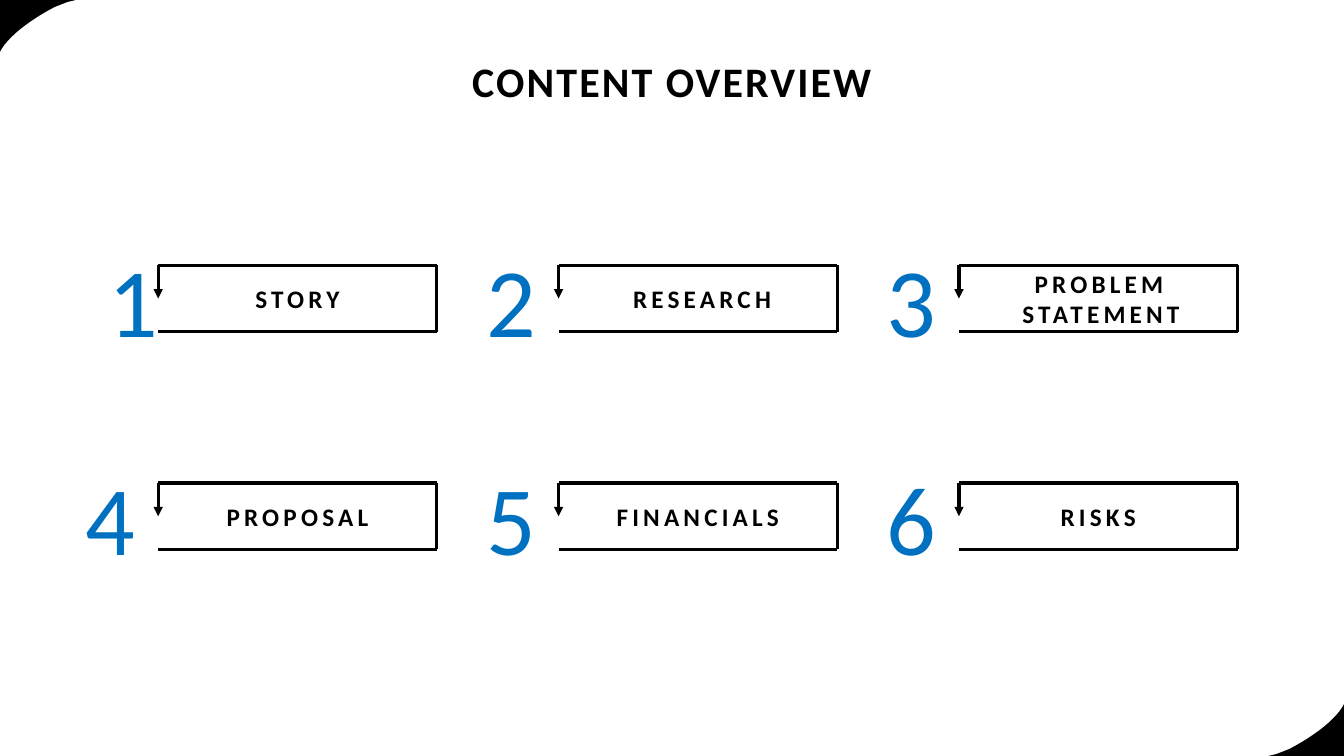
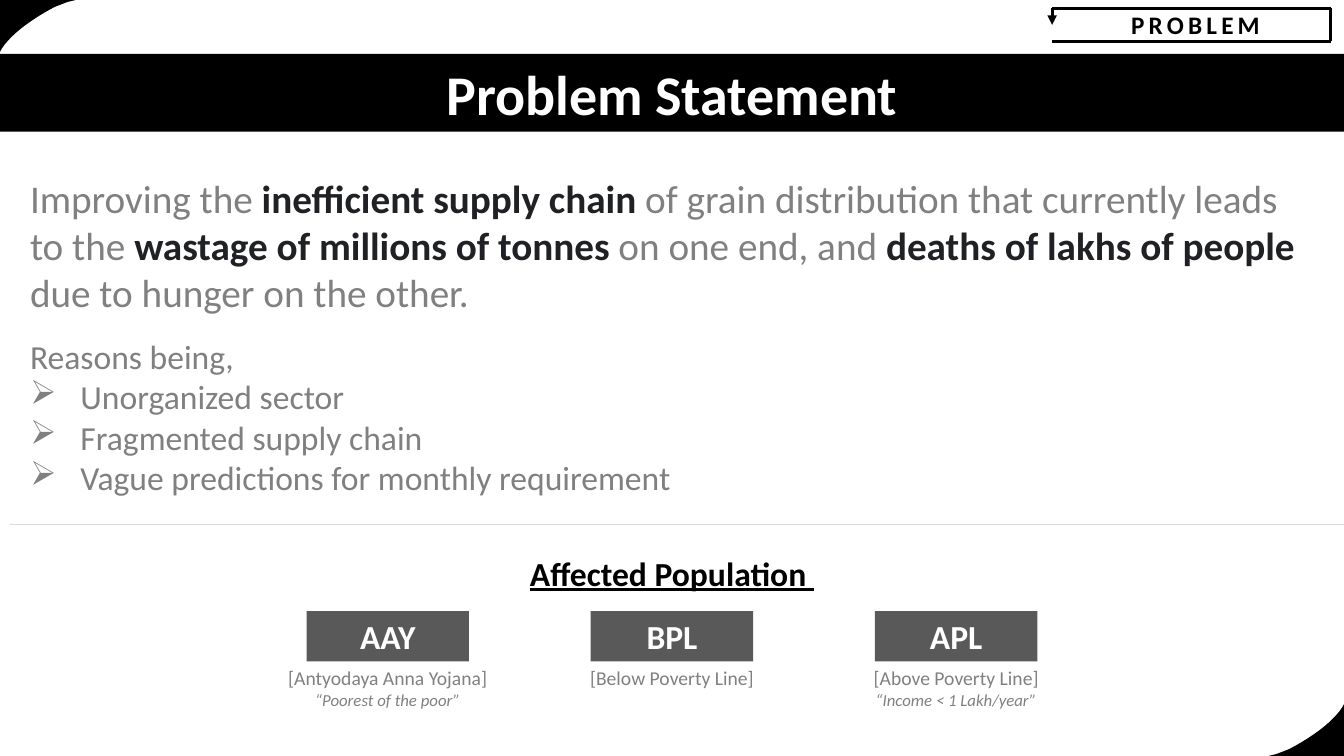
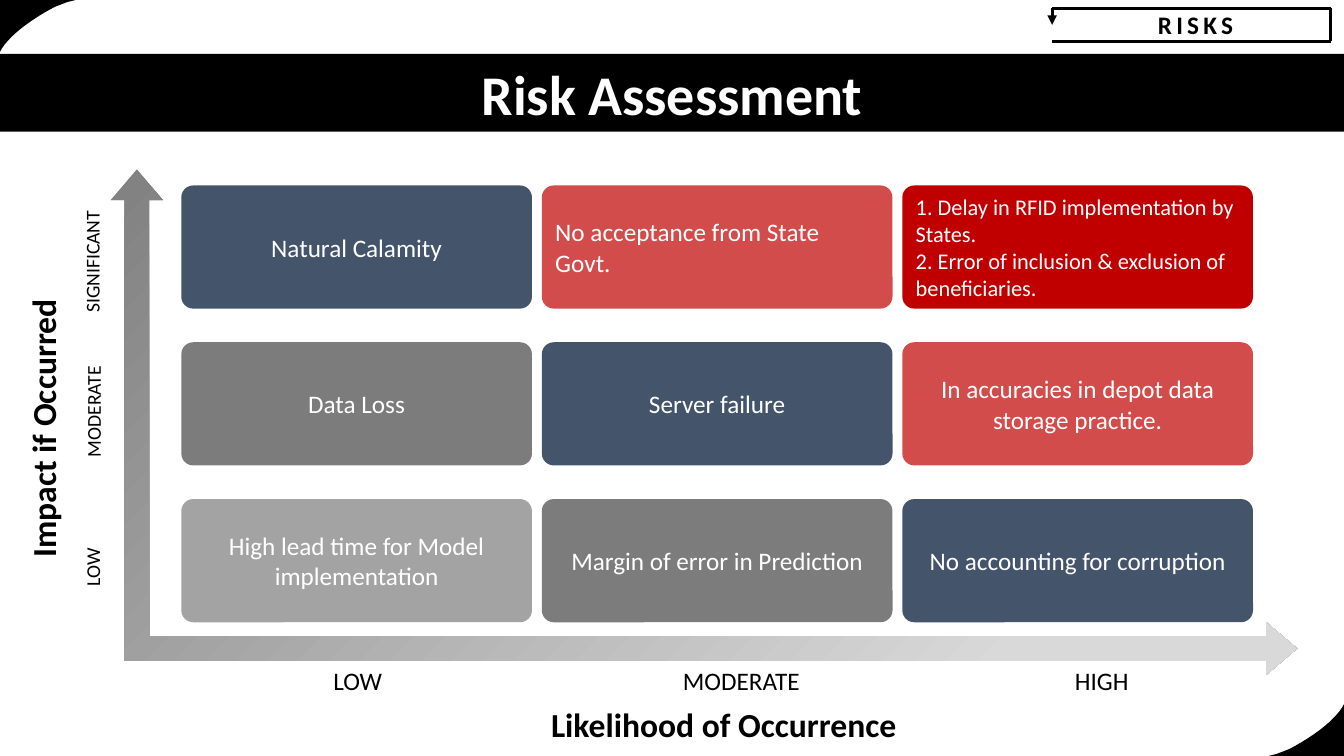
from pptx import Presentation
from pptx.dml.color import RGBColor
from pptx.enum.shapes import MSO_CONNECTOR as CONNECTOR, MSO_SHAPE as SHAPE
from pptx.enum.text import MSO_ANCHOR as ANCHOR, MSO_AUTO_SIZE as AUTO_SIZE, PP_ALIGN as ALIGN
from pptx.oxml import parse_xml
from pptx.oxml.ns import nsdecls, qn
from pptx.util import Pt
from lxml import etree

FONT = "Calibri"
COLORS = {
    "black": "000000", "white": "FFFFFF", "number": "0070C0", "body": "808080",
    "strong": "202124", "divider": "D9D9D9", "group": "595959",
    "gray": "7C7C7C", "slate": "44546A", "red": "C00000",
}
RGB = {name: RGBColor.from_string(value) for name, value in COLORS.items()}
WIDTH, HEIGHT = 960, 540
BRACKET_WIDTH = 199


def write_text(shape, lines, size, color="black", bold=False, align=ALIGN.CENTER,
               anchor=ANCHOR.MIDDLE, spacing=0):
    """Fill a shape with one paragraph per line; spacing is the letter gap in points."""
    frame = shape.text_frame
    frame.word_wrap = True
    frame.auto_size = AUTO_SIZE.NONE
    frame.vertical_anchor = anchor
    frame.margin_top = frame.margin_bottom = 0
    for index, line in enumerate(lines):
        paragraph = frame.add_paragraph() if index else frame.paragraphs[0]
        paragraph.alignment = align
        run = paragraph.add_run()
        run.text = line
        run.font.name, run.font.size, run.font.bold = FONT, Pt(size), bold
        run.font.color.rgb = RGB[color]
        if spacing:
            run._r.get_or_add_rPr().set("spc", str(int(spacing * 100)))


def add_bracket(slide, label, left, top, height, label_shift=3):
    """Draw a frame open at the left, with an arrow down to its middle, and its label."""
    right, bottom = left + BRACKET_WIDTH, top + height
    sides = [
        (right, top, left, top),
        (right, top, right, bottom),
        (right, bottom, left, bottom),
        (left, top, left, top + height / 2),
    ]
    for side in sides:
        connector = slide.shapes.add_connector(CONNECTOR.STRAIGHT, *map(Pt, side))
        connector.line.color.rgb = RGB["black"]
        connector.line.width = Pt(2.25)
        etree.SubElement(connector._element.spPr, qn("a:effectLst"))
    arrow_line = connector.line._get_or_add_ln()
    etree.SubElement(arrow_line, qn("a:tailEnd"), type="triangle")
    box = slide.shapes.add_textbox(Pt(left + label_shift), Pt(top), Pt(BRACKET_WIDTH), Pt(height))
    write_text(box, [label], 18, bold=True, spacing=3)


presentation = Presentation()
presentation.slide_width, presentation.slide_height = Pt(WIDTH), Pt(HEIGHT)

# Shared frame: rounded corners, title, section marker
curve = [(0, 37), (5, 27), (20, 15), (39, 5)]
corner = [(0, 0)]
for step in range(13):
    t = step / 12
    weights = [(1 - t) ** 3, 3 * t * (1 - t) ** 2, 3 * t * t * (1 - t), t ** 3]
    corner.append(tuple(sum(w * point[axis] for w, point in zip(weights, curve))
                        for axis in (0, 1)))
corner += [(48, 1.5), (54, 0)]

slides = []
for title_text, section in [("CONTENT OVERVIEW", None), ("Problem Statement", "PROBLEM"),
                            ("Risk Assessment", "RISKS")]:
    slide = presentation.slides.add_slide(presentation.slide_layouts[5])
    slides.append(slide)
    for mirrored in (False, True):
        points = [(Pt(WIDTH - x), Pt(HEIGHT - y)) if mirrored else (Pt(x), Pt(y))
                  for x, y in corner]
        builder = slide.shapes.build_freeform(*points[0])
        builder.add_line_segments(points[1:], close=True)
        shape = builder.convert_to_shape()
        shape.shadow.inherit = False
        shape.fill.solid()
        shape.fill.fore_color.rgb = RGB["black"]
        shape.line.fill.background()
    title = slide.shapes.title
    if section:
        title.left, title.top, title.width, title.height = Pt(0), Pt(38.5), Pt(WIDTH), Pt(55.5)
        title.fill.solid()
        title.fill.fore_color.rgb = RGB["black"]
        write_text(title, [title_text], 40, "white", bold=True)
        add_bracket(slide, section, 751.5, 6, 23.5)
    else:
        title.left, title.top, title.width, title.height = Pt(320), Pt(40), Pt(320), Pt(36)
        write_text(title, [title_text], 30, bold=True, spacing=1.5)

overview, problem, risks = slides

# Content overview: three columns by two rows
sections = [("STORY", 0), ("RESEARCH", 3), ("PROBLEM STATEMENT", 2),
            ("PROPOSAL", 0), ("FINANCIALS", 0), ("RISKS", 0)]
for index, (label, shift) in enumerate(sections):
    row, column = divmod(index, 3)
    left, top = 113 + column * 286, 189.5 + row * 155.5
    number_right = left + 7 if index == 0 else left - 9
    number = overview.shapes.add_textbox(Pt(number_right - 56), Pt(top - 19), Pt(56), Pt(85.5))
    write_text(number, [str(index + 1)], 70, "number", align=ALIGN.RIGHT)
    add_bracket(overview, label, left, top, 47.5, shift)

# Problem statement
body = problem.shapes.add_textbox(Pt(14.4), Pt(121), Pt(931), Pt(240))
frame = body.text_frame
frame.word_wrap = True
statement = [
    ("Improving the ", False), ("inefficient supply chain ", True),
    ("of grain distribution that currently leads to the ", False),
    ("wastage of millions of tonnes ", True), ("on one end, and ", False),
    ("deaths of lakhs of people ", True), ("due to hunger on the other.", False),
]
reasons = ["Reasons being,", "Unorganized sector", "Fragmented supply chain",
           "Vague predictions for monthly requirement"]
for index, runs in enumerate([statement] + [[(reason, False)] for reason in reasons]):
    paragraph = frame.add_paragraph() if index else frame.paragraphs[0]
    if index == 1:
        paragraph.space_before = Pt(14.6)
    elif index > 1:
        properties = paragraph._p.get_or_add_pPr()
        properties.set("marL", str(Pt(36)))
        properties.set("indent", str(-Pt(36)))
        etree.SubElement(properties, qn("a:buChar"), char="➢")
    for text, strong in runs:
        run = paragraph.add_run()
        run.text = text
        run.font.name, run.font.size = FONT, Pt(24 if index else 28)
        run.font.bold = strong
        run.font.color.rgb = RGB["strong" if strong else "body"]

divider = problem.shapes.add_connector(CONNECTOR.STRAIGHT, Pt(7), Pt(374.5), Pt(WIDTH), Pt(374.5))
divider.line.color.rgb = RGB["divider"]
divider.line.width = Pt(0.5)
etree.SubElement(divider._element.spPr, qn("a:effectLst"))

heading = problem.shapes.add_textbox(Pt(0), Pt(391), Pt(WIDTH), Pt(36))
write_text(heading, ["Affected Population "], 24, bold=True)
heading.text_frame.paragraphs[0].runs[0].font.underline = True

groups = [
    ("AAY", ["[Antyodaya Anna Yojana]", "“Poorest of the poor”"]),
    ("BPL", ["[Below Poverty Line]"]),
    ("APL", ["[Above Poverty Line]", "“Income < 1 Lakh/year”"]),
]
for index, (name, caption_lines) in enumerate(groups):
    left = 219 + index * 203
    tile = problem.shapes.add_shape(SHAPE.RECTANGLE, Pt(left), Pt(436.5), Pt(116), Pt(36))
    tile.shadow.inherit = False
    tile.fill.solid()
    tile.fill.fore_color.rgb = RGB["group"]
    tile.line.fill.background()
    write_text(tile, [name], 24, "white", bold=True)
    caption = problem.shapes.add_textbox(Pt(left - 23), Pt(476), Pt(162), Pt(34))
    write_text(caption, caption_lines, 14, "body", anchor=ANCHOR.TOP)
    for paragraph in caption.text_frame.paragraphs[1:]:
        paragraph.runs[0].font.size = Pt(12)
        paragraph.runs[0].font.italic = True

# Risk matrix: axes
axes = risks.shapes.add_shape(SHAPE.LEFT_UP_ARROW, Pt(79), Pt(121), Pt(847.5), Pt(361))
axes.shadow.inherit = False
axes.line.fill.background()
axes.fill.background()
for index, value in enumerate([0.049, 0.052, 0.061]):
    axes.adjustments[index] = value
axes_properties = axes._element.spPr
axes_properties.get_or_add_xfrm().set("flipH", "1")
gradient = parse_xml(
    f'<a:gradFill {nsdecls("a")}><a:gsLst>'
    f'<a:gs pos="18000"><a:srgbClr val="{COLORS["divider"]}"/></a:gs>'
    f'<a:gs pos="100000"><a:srgbClr val="{COLORS["body"]}"/></a:gs></a:gsLst>'
    '<a:path path="circle"><a:fillToRect l="100000" t="100000"/></a:path></a:gradFill>')
axes_properties.replace(axes_properties.find(qn("a:noFill")), gradient)

# text, size, bold, centre x, centre y, box width, rotation
axis_labels = [
    ("Impact if Occurred", 24, True, 30.5, 306, 234, 270),
    ("SIGNIFICANT", 14, False, 65.5, 187, 98, 270),
    ("MODERATE", 14, False, 66.5, 294, 98, 270),
    ("LOW", 14, False, 66, 405, 98, 270),
    ("LOW", 18, False, 255.5, 486, 190, 0),
    ("MODERATE", 18, False, 529.5, 486, 190, 0),
    ("HIGH", 18, False, 787, 486, 190, 0),
    ("Likelihood of Occurrence", 24, True, 517, 517, 274, 0),
]
for text, size, bold, center_x, center_y, width, rotation in axis_labels:
    height = size * 1.5
    box = risks.shapes.add_textbox(Pt(center_x - width / 2), Pt(center_y - height / 2),
                                   Pt(width), Pt(height))
    box.rotation = rotation
    write_text(box, [text], size, bold=bold)

# Risk matrix: cells, coloured by impact plus likelihood
severity_fills = [("gray", 70), ("gray", 100), ("slate", 100), ("red", 70), ("red", 100)]
matrix = [
    [["Natural Calamity"], ["No acceptance from State Govt."],
     ["1. Delay in RFID implementation by States.",
      "2. Error of inclusion & exclusion of beneficiaries."]],
    [["Data Loss"], ["Server failure"], ["In accuracies in depot data storage practice."]],
    [["High lead time for Model implementation"], ["Margin of error in Prediction"],
     ["No accounting for corruption"]],
]
for row, cells in enumerate(matrix):
    for column, lines in enumerate(cells):
        cell = risks.shapes.add_shape(SHAPE.ROUNDED_RECTANGLE, Pt(129.5 + column * 257.5),
                                      Pt(132.5 + row * 112), Pt(250.5), Pt(88))
        cell.adjustments[0] = 0.097
        cell.shadow.inherit = False
        cell.line.fill.background()
        color, opacity = severity_fills[2 - row + column]
        cell.fill.solid()
        cell.fill.fore_color.rgb = RGB[color]
        if opacity < 100:
            fill_color = cell._element.spPr.find(qn("a:solidFill"))[0]
            etree.SubElement(fill_color, qn("a:alpha"), val=str(opacity * 1000))
        align = ALIGN.LEFT if row == 0 and column else ALIGN.CENTER
        write_text(cell, lines, 16 if len(lines) > 1 else 18, "white", align=align)

presentation.save("out.pptx")
